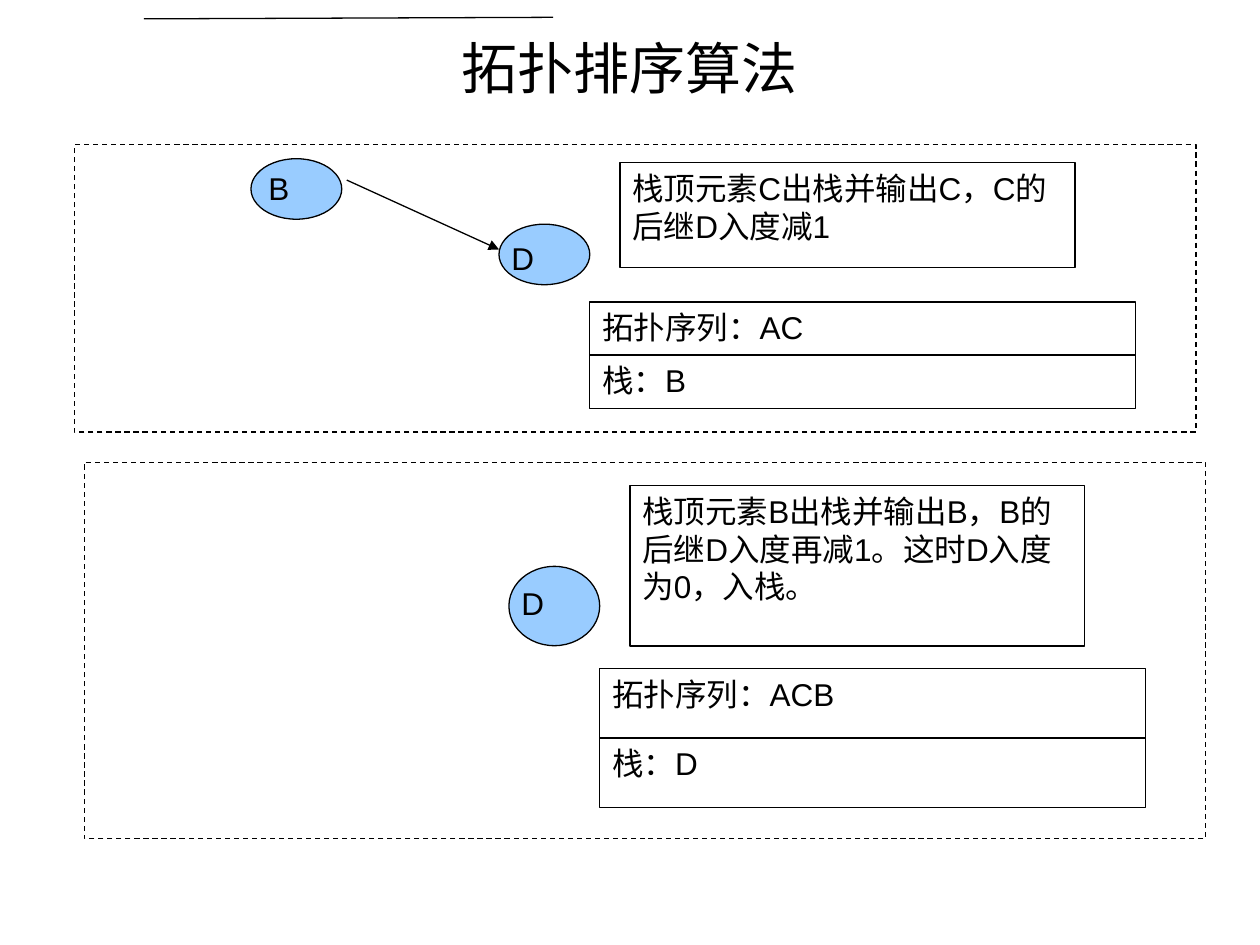
from dataclasses import dataclass

from pptx import Presentation
from pptx.dml.color import RGBColor
from pptx.enum.dml import MSO_LINE
from pptx.enum.shapes import MSO_CONNECTOR, MSO_SHAPE
from pptx.enum.text import MSO_ANCHOR, PP_ALIGN
from pptx.oxml.ns import qn
from pptx.util import Cm, Pt
from lxml.etree import SubElement


@dataclass(frozen=True)
class Theme:
    ink: RGBColor = RGBColor(0x00, 0x00, 0x00)
    paper: RGBColor = RGBColor(0xFF, 0xFF, 0xFF)
    node: RGBColor = RGBColor(0x99, 0xCC, 0xFF)
    font: str = "Arial"
    title_size: Pt = Pt(32)
    body_size: Pt = Pt(18)
    line_width: Pt = Pt(0.74)


THEME = Theme()
BASE_HEIGHT = 5.79  # panel height, in cm, at which the row and node sizes hold


def write(box, text, size=THEME.body_size, align=PP_ALIGN.LEFT, anchor=MSO_ANCHOR.TOP):
    frame = box.text_frame
    frame.word_wrap = True
    frame.vertical_anchor = anchor
    para = frame.paragraphs[0]
    para.text = text
    para.alignment = align
    para.font.size = size
    para.font.name = THEME.font
    para.font.color.rgb = THEME.ink


def add_box(shapes, kind, left, top, width, height, fill=None, text=None):
    box = shapes.add_shape(kind, Cm(left), Cm(top), Cm(width), Cm(height))
    box.shadow.inherit = False
    if fill is None:
        box.fill.background()
    else:
        box.fill.solid()
        box.fill.fore_color.rgb = fill
    box.line.color.rgb = THEME.ink
    box.line.width = THEME.line_width
    if text:
        write(box, text)
    return box


def add_line(shapes, start, end, arrow=False):
    line = shapes.add_connector(MSO_CONNECTOR.STRAIGHT, *map(Cm, start + end))
    line.line.color.rgb = THEME.ink
    line.line.width = THEME.line_width
    properties = line.line._get_or_add_ln()
    if arrow:
        SubElement(properties, qn("a:tailEnd"), type="triangle")
    SubElement(line._element.spPr, qn("a:effectLst"))


def add_node(shapes, left, top, scale, name, label_shift):
    add_box(shapes, MSO_SHAPE.OVAL, left, top, 1.83, 1.22 * scale, THEME.node)
    shift_x, shift_y = label_shift
    label = shapes.add_textbox(
        Cm(left + shift_x), Cm(top + shift_y * scale), Cm(1.57), Cm(1.07 * scale))
    write(label, name)


def add_step(page, left, top, height, note, note_height, rows, with_source=False):
    """One step of the algorithm: graph at left, note and state rows at right."""
    scale = height / BASE_HEIGHT
    shapes = page.shapes.add_group_shape().shapes
    frame = add_box(shapes, MSO_SHAPE.RECTANGLE, left, top, 22.61, height)
    frame.line.dash_style = MSO_LINE.DASH

    # Graph
    add_node(shapes, left + 8.56, top + 1.6 * scale, scale, "D", (0, 0.18))
    if with_source:
        add_node(shapes, left + 3.56, top + 0.28 * scale, scale, "B", (0.1, 0.08))
        add_line(shapes, (left + 5.49, top + 0.71 * scale),
                 (left + 8.56, top + 2.11 * scale), arrow=True)

    # Explanation
    add_box(shapes, MSO_SHAPE.RECTANGLE, left + 11, top + 0.36 * scale,
            9.17, note_height, THEME.paper, note)

    # Output sequence and stack
    row_height = 1.07 * scale
    for index, text in enumerate(rows):
        add_box(shapes, MSO_SHAPE.RECTANGLE, left + 10.39,
                top + 3.17 * scale + index * row_height,
                11, row_height, THEME.paper, text)


def add_heading(page, text):
    title = page.shapes.title
    title.left, title.top, title.width, title.height = map(Cm, (1.27, 0.53, 22.86, 1.63))
    write(title, text, THEME.title_size, PP_ALIGN.CENTER, MSO_ANCHOR.MIDDLE)
    add_line(page.shapes, (2.9, 0.38), (11.15, 0.35))


deck = Presentation()
deck.slide_width, deck.slide_height = Cm(25.4), Cm(19.05)
page = deck.slides.add_slide(deck.slide_layouts[5])

add_heading(page, "拓扑排序算法")
add_step(page, 1.5, 2.92, 5.79, "栈顶元素C出栈并输出C，C的后继D入度减1", 2.11,
         ("拓扑序列：AC", "栈：B"), with_source=True)
add_step(page, 1.7, 9.32, 7.59,
         "栈顶元素B出栈并输出B，B的后继D入度再减1。这时D入度为0，入栈。", 3.23,
         ("拓扑序列：ACB", "栈：D"))

deck.save("out.pptx")
